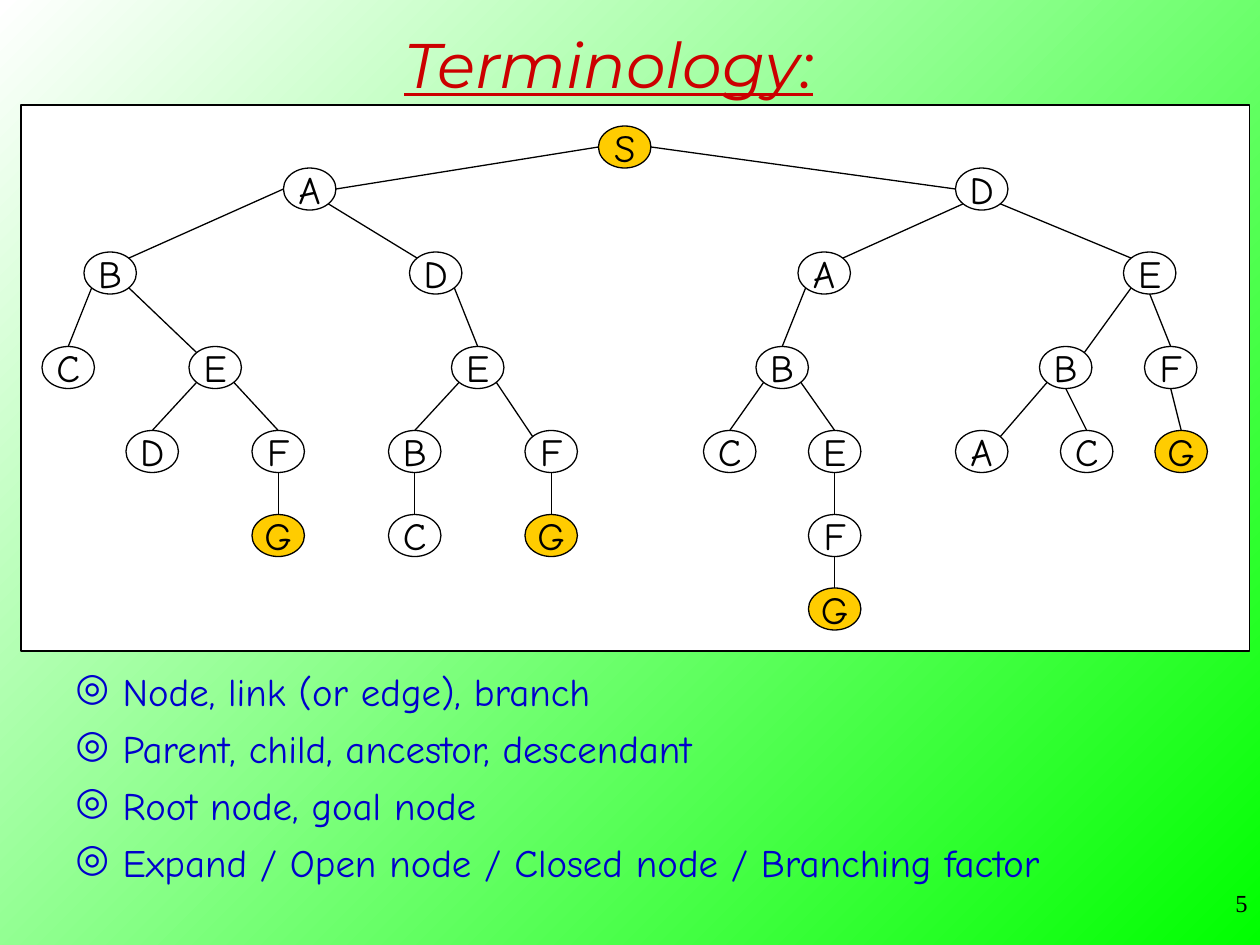
from math import cos, pi, sin

from lxml.etree import SubElement
from pptx import Presentation
from pptx.dml.color import RGBColor
from pptx.enum.shapes import MSO_CONNECTOR, MSO_SHAPE
from pptx.enum.text import MSO_ANCHOR, MSO_AUTO_SIZE, PP_ALIGN
from pptx.oxml.ns import qn
from pptx.util import Pt

COLORS = {"green": "00FF00", "white": "FFFFFF", "black": "000000",
          "red": "CC0000", "blue": "0000CC", "gold": "FFCC00"}
FORMATS = {
    "title": {"name": "Montserrat", "size": Pt(36), "bold": False, "italic": True, "underline": True},
    "node": {"name": "Comic Neue", "size": Pt(22)},
    "bullet": {"name": "Comic Neue", "size": Pt(22.2)},
    "number": {"name": "Times New Roman", "size": Pt(14)},
}
UNIT, NODE_W, NODE_H = 6, 30, 24
LEVELS = [2, 6, 14, 23, 31, 39, 46]
TOP, TOP_LEFT, LEFT, BOTTOM_LEFT, BOTTOM, BOTTOM_RIGHT, RIGHT, TOP_RIGHT = range(8)
COLUMNS = {
    "S": 55, "SA": 25, "SD": 89,
    "SAB": 6, "SAD": 37, "SDE": 105, "SDA": 74,
    "SABC": 2, "SABE": 16, "SADE": 41, "SDAB": 70, "SDEB": 97, "SDEF": 107,
    "SABED": 10, "SABEF": 22, "SADEB": 35, "SADEF": 48, "SDABC": 65,
    "SDABE": 75, "SDEBA": 89, "SDEBC": 99, "SDEFG": 108,
    "SABEFG": 22, "SADEBC": 35, "SADEFG": 48, "SDABEF": 75, "SDABEFG": 75,
}
LINKS = {
    (LEFT, RIGHT): ["SA"],
    (RIGHT, LEFT): ["SD"],
    (LEFT, TOP_RIGHT): ["SAB"],
    (BOTTOM_RIGHT, TOP_LEFT): ["SAD", "SDE", "SABE", "SADEF"],
    (BOTTOM_LEFT, TOP_RIGHT): ["SDA", "SDEB", "SDEBA"],
    (BOTTOM_LEFT, TOP): ["SABC", "SDAB", "SABED", "SADEB", "SDABC"],
    (BOTTOM_RIGHT, TOP): ["SADE", "SABEF", "SDABE"],
    (BOTTOM, TOP): ["SDEF", "SDEBC", "SDEFG", "SABEFG", "SADEBC", "SADEFG", "SDABEF", "SDABEFG"],
}
TERMS = ["Node, link (or edge), branch", "Parent, child, ancestor, descendant",
         "Root node, goal node", "Expand / Open node / Closed node / Branching factor"]


def rgb(color):
    """Return the named colour."""
    return RGBColor.from_string(COLORS[color])


def write(p, text, style, color, align):
    """Put formatted text into a paragraph."""
    p.alignment = align
    r = p.add_run()
    r.text = text
    for name, value in FORMATS[style].items():
        setattr(r.font, name, value)
    r.font.color.rgb = rgb(color)


def add_outlined(shapes, kind, box, color):
    """Add a filled shape with a thin black outline."""
    sp = shapes.add_shape(kind, *map(Pt, box))
    sp.shadow.inherit = False
    sp.fill.solid()
    sp.fill.fore_color.rgb = rgb(color)
    sp.line.color.rgb = rgb("black")
    sp.line.width = Pt(0.75)
    return sp


def add_node(shapes, label, x, y):
    """Add a tree node, with start and goal nodes in gold."""
    color = "gold" if label in "SG" else "white"
    sp = add_outlined(shapes, MSO_SHAPE.OVAL, (x, y, NODE_W, NODE_H), color)
    tf = sp.text_frame
    tf.word_wrap = False
    tf.vertical_anchor = MSO_ANCHOR.MIDDLE
    write(tf.paragraphs[0], label, "node", "black", PP_ALIGN.CENTER)
    return sp


def site_point(sp, site):
    """Return the position of an ellipse's connection site."""
    angle = site * pi / 4
    return (round(sp.left + sp.width / 2 * (1 - sin(angle))),
            round(sp.top + sp.height / 2 * (1 - cos(angle))))


def add_link(shapes, parent, child, sites):
    """Join two nodes at the given connection sites."""
    ends = list(zip(("a:stCxn", "a:endCxn"), (parent, child), sites))
    points = [value for _, sp, site in ends for value in site_point(sp, site)]
    line = shapes.add_connector(MSO_CONNECTOR.STRAIGHT, *points)
    line.line.color.rgb = rgb("black")
    line.line.width = Pt(0.75)
    SubElement(line.element.spPr, qn("a:effectLst"))
    joints = line.element.find(".//" + qn("p:cNvCxnSpPr"))
    for tag, sp, site in ends:
        SubElement(joints, qn(tag), id=str(sp.shape_id), idx=str(site))


def add_tree(s, x, y, w, h):
    """Draw the search tree on a white panel."""
    shapes = s.shapes.add_group_shape().shapes
    add_outlined(shapes, MSO_SHAPE.RECTANGLE, (x, y, w, h), "white")
    nodes = {}
    for route, column in COLUMNS.items():
        level = LEVELS[len(route) - 1]
        nodes[route] = add_node(shapes, route[-1], x + column * UNIT, y + level * UNIT)
    for sites, routes in LINKS.items():
        for route in routes:
            add_link(shapes, nodes[route[:-1]], nodes[route], sites)


def add_title(s, x, y, w, h):
    """Place and format the title."""
    sp = s.shapes.title
    sp.left, sp.top, sp.width, sp.height = map(Pt, (x, y, w, h))
    tf = sp.text_frame
    tf.auto_size = MSO_AUTO_SIZE.NONE
    tf.vertical_anchor = MSO_ANCHOR.MIDDLE
    write(tf.paragraphs[0], "Terminology:", "title", "red", PP_ALIGN.CENTER)


def add_terms(s, x, y, w, h):
    """Add the bulleted list of terms."""
    tf = s.shapes.add_textbox(*map(Pt, (x, y, w, h))).text_frame
    tf.word_wrap = True
    for i, term in enumerate(TERMS):
        p = tf.add_paragraph() if i else tf.paragraphs[0]
        pPr = p._p.get_or_add_pPr()
        pPr.set("marL", str(Pt(27)))
        pPr.set("indent", str(-Pt(27)))
        SubElement(SubElement(pPr, qn("a:buClr")), qn("a:srgbClr"), val=COLORS["blue"])
        SubElement(pPr, qn("a:buChar"), char="◎")
        p.space_before = Pt(6 if i else 0)
        write(p, term, "bullet", "blue", PP_ALIGN.LEFT)


def add_number(s, x, y, w, h):
    """Add the page number."""
    tf = s.shapes.add_textbox(*map(Pt, (x, y, w, h))).text_frame
    tf.word_wrap = True
    write(tf.paragraphs[0], "5", "number", "black", PP_ALIGN.RIGHT)


def set_background(s):
    """Fill the background with a diagonal gradient."""
    fill = s.background.fill
    fill.gradient()
    fill.gradient_angle = 135
    for stop, color, position in zip(fill.gradient_stops, ("green", "white"), (0, 1)):
        stop.color.rgb = rgb(color)
        stop.position = position


def main():
    """Build and save the slide."""
    prs = Presentation()
    prs.slide_width, prs.slide_height = Pt(720), Pt(540)
    s = prs.slides.add_slide(prs.slide_layouts[5])
    set_background(s)
    add_title(s, 42, 0, 612, 72)
    add_terms(s, 36, 378, 654, 138)
    add_tree(s, 12, 60, 702, 312)
    add_number(s, 570, 504, 150, 36)
    prs.save("out.pptx")


if __name__ == "__main__":
    main()
